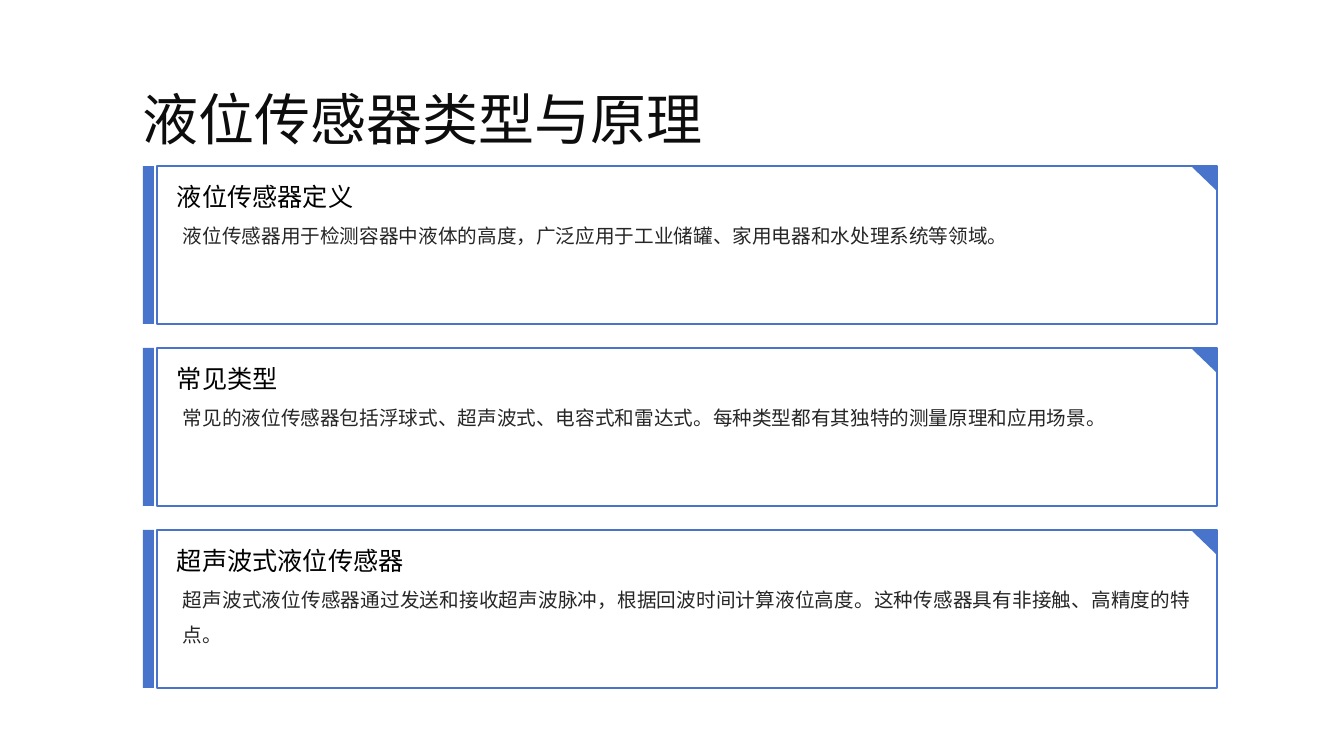
from dataclasses import dataclass

from pptx import Presentation
from pptx.dml.color import RGBColor
from pptx.enum.shapes import MSO_SHAPE
from pptx.enum.text import MSO_ANCHOR, MSO_AUTO_SIZE, PP_ALIGN
from pptx.oxml.ns import qn
from pptx.util import Pt

EMU_PER_PX = 914400 / 100.8


@dataclass(frozen=True)
class Theme:
    font: str = "Roboto"
    accent: str = "4874CB"
    paper: str = "FFFFFF"
    title_color: str = "0D0D0D"
    heading_color: str = "000000"
    body_color: str = "262626"
    title_size: int = 40
    heading_size: int = 18
    body_size: int = 14
    border: float = 1.5


THEME = Theme()
CARD_TOP, CARD_HEIGHT, CARD_PITCH = 166, 158, 182
CARDS = [
    ("液位传感器定义",
     "液位传感器用于检测容器中液体的高度，广泛应用于工业储罐、家用电器和水处理系统等领域。"),
    ("常见类型",
     "常见的液位传感器包括浮球式、超声波式、电容式和雷达式。每种类型都有其独特的测量原理和应用场景。"),
    ("超声波式液位传感器",
     "超声波式液位传感器通过发送和接收超声波脉冲，根据回波时间计算液位高度。这种传感器具有非接触、高精度的特点。"),
]


def px(n):
    return round(n * EMU_PER_PX)


def set_all(target, values):
    for name, value in values.items():
        setattr(target, name, value)


def place(sp, box):
    set_all(sp, dict(zip(("left", "top", "width", "height"), map(px, box))))


def write(sp, text, size, color, paragraph, frame=None):
    tf = sp.text_frame
    set_all(tf, {"word_wrap": True, "vertical_anchor": MSO_ANCHOR.TOP,
                 "auto_size": MSO_AUTO_SIZE.SHAPE_TO_FIT_TEXT, **(frame or {})})
    p = tf.paragraphs[0]
    set_all(p, paragraph)
    r = p.add_run()
    r.text = text
    set_all(r.font, {"size": Pt(size), "name": THEME.font})
    r.font.color.rgb = RGBColor.from_string(color)
    ea = r._r.get_or_add_rPr().makeelement(qn("a:ea"), {"typeface": THEME.font})
    r.font._element.find(qn("a:latin")).addnext(ea)


def add_title(s, text):
    sp = s.shapes.title
    place(sp, (143, 51, 1155, 101))
    margins = ("margin_left", "margin_top", "margin_right", "margin_bottom")
    write(sp, text, THEME.title_size, THEME.title_color,
          {"alignment": PP_ALIGN.LEFT, "line_spacing": 1.5}, dict.fromkeys(margins, 0))


def add_text(s, box, text, size, color, paragraph):
    write(s.shapes.add_textbox(*map(px, box)), text, size, color, paragraph)


def add_block(s, kind, box, fill, line=None, rotation=0):
    sp = s.shapes.add_shape(kind, *map(px, box))
    sp.shadow.inherit = False
    sp.rotation = rotation
    sp.fill.solid()
    sp.fill.fore_color.rgb = RGBColor.from_string(fill)
    if line:
        sp.line.color.rgb = RGBColor.from_string(line)
        sp.line.width = Pt(THEME.border)
    else:
        sp.line.fill.background()


def add_card(s, top, heading, body):
    add_block(s, MSO_SHAPE.RECTANGLE, (143, top, 11, CARD_HEIGHT), THEME.accent)
    add_block(s, MSO_SHAPE.RECTANGLE, (157, top, 1060, CARD_HEIGHT), THEME.paper, THEME.accent)
    add_block(s, MSO_SHAPE.RIGHT_TRIANGLE, (1191, top, 26, 25), THEME.accent, rotation=180)
    add_text(s, (167, top + 10, 810, 30), heading, THEME.heading_size, THEME.heading_color,
             {"alignment": PP_ALIGN.LEFT})
    add_text(s, (173, top + 41, 1028, 35), body, THEME.body_size, THEME.body_color,
             {"alignment": PP_ALIGN.JUSTIFY, "line_spacing": 1.5})


def main():
    prs = Presentation()
    set_all(prs, {"slide_width": px(1344), "slide_height": px(756)})
    s = prs.slides.add_slide(prs.slide_layouts[5])
    add_title(s, "液位传感器类型与原理")
    for i, (heading, body) in enumerate(CARDS):
        add_card(s, CARD_TOP + i * CARD_PITCH, heading, body)
    prs.save("out.pptx")


if __name__ == "__main__":
    main()
